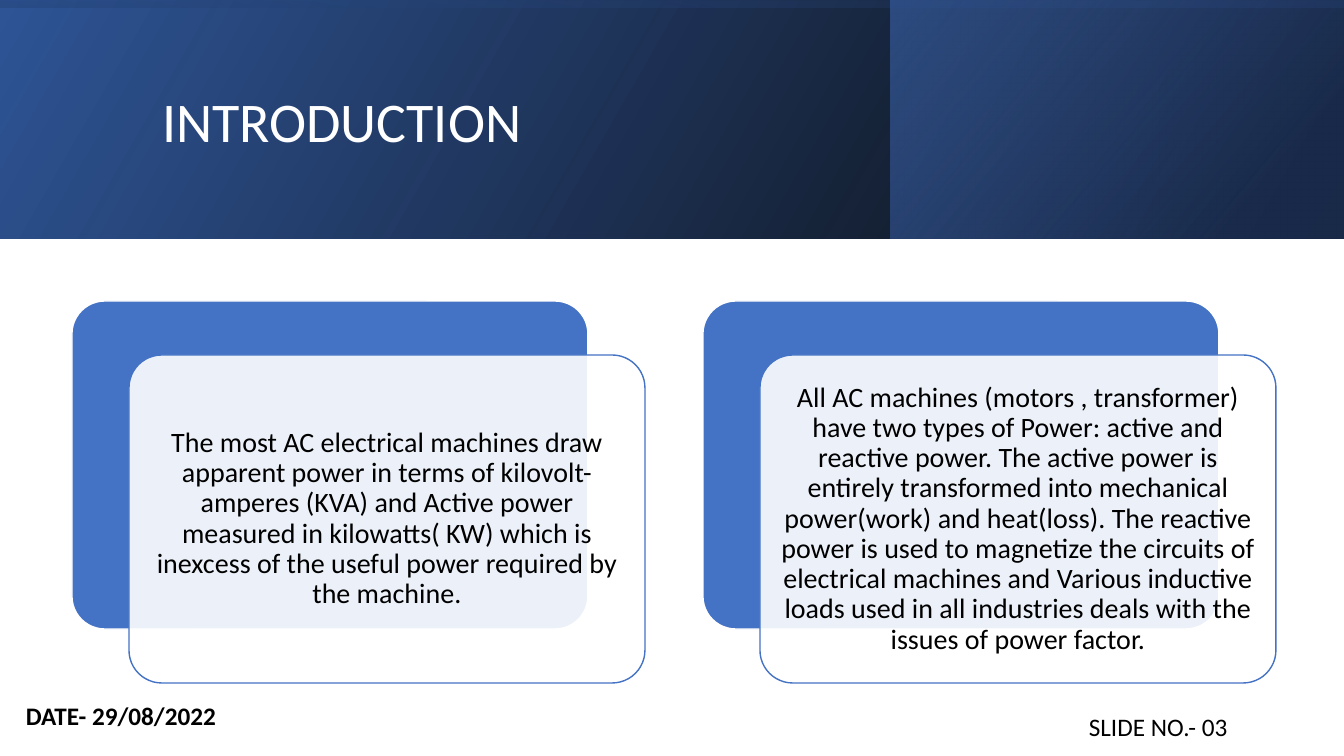
from lxml import etree
from pptx import Presentation
from pptx.dml.color import RGBColor
from pptx.enum.shapes import MSO_SHAPE
from pptx.enum.text import MSO_ANCHOR, PP_ALIGN
from pptx.oxml.ns import qn
from pptx.util import Pt

RECTANGLE, ROUNDED = MSO_SHAPE.RECTANGLE, MSO_SHAPE.ROUNDED_RECTANGLE
MIDDLE = MSO_ANCHOR.MIDDLE
LEFT, CENTER = PP_ALIGN.LEFT, PP_ALIGN.CENTER
PIXEL = 914400 / 100.8
COLORS = {name: RGBColor.from_string(value) for name, value in {
    "white": "FFFFFF", "black": "000000", "blue": "4472C4",
    "deep blue": "2F5597", "navy": "203864"}.items()}


def px(*lengths):
    return [round(length * PIXEL) for length in lengths]


def write(text_frame, text, size, color, align=LEFT, bold=False, spacing=None):
    text_frame.word_wrap = True
    text_frame.text = text
    paragraph = text_frame.paragraphs[0]
    paragraph.alignment = align
    paragraph.line_spacing = spacing
    paragraph.font.name = "Calibri"
    paragraph.font.size = Pt(size)
    paragraph.font.bold = bold
    paragraph.font.color.rgb = COLORS[color]


presentation = Presentation()
presentation.slide_width, presentation.slide_height = px(1344, 756)
slide = presentation.slides.add_slide(presentation.slide_layouts[5])
shapes = slide.shapes
title = shapes.title

# Banner: three mirrored gradient layers; stops are (percent, color, opacity)
BANNER_LAYERS = [
    ((0, 0, 1344, 239), 0, 330, [(0, "black", 96), (100, "deep blue", 100)]),
    ((891, 0, 452, 239), 0, 320, [(19, "navy", 68), (100, "blue", 48)]),
    ((552, -552, 239, 1344), 270, 350, [(23, "deep blue", 16), (99, "black", 45)]),
]
for box, rotation, angle, stops in BANNER_LAYERS:
    layer = shapes.add_shape(RECTANGLE, *px(*box))
    layer.shadow.inherit = False
    layer.line.fill.background()
    layer.rotation = rotation
    layer.element.xpath("./p:spPr/a:xfrm")[0].set("flipH", "1")
    layer.fill.gradient()
    layer.fill.gradient_angle = 360 - angle
    for stop, (percent, color, opacity) in zip(layer.fill.gradient_stops, stops):
        stop.position = percent / 100
        stop.color.rgb = COLORS[color]
    for element, (percent, color, opacity) in zip(
            layer.element.xpath(".//a:gs/a:srgbClr"), stops):
        etree.SubElement(element, qn("a:alpha")).set("val", str(opacity * 1000))

# Title, in front of the banner
shapes.element.append(title.element)
title.left, title.top, title.width, title.height = px(152, 38, 1072, 173)
title.text_frame.vertical_anchor = MIDDLE
write(title.text_frame, "INTRODUCTION", 40, "white", spacing=0.9)

# Two cards, each a translucent panel over a blue back plate
CARD_TEXTS = [
    "The most AC electrical machines draw apparent power\u00a0in terms of "
    "kilovolt-amperes (KVA) and Active power measured in kilowatts( KW) which "
    "is inexcess of the useful power required by the machine.",
    "All AC machines (motors , transformer) have two types of\u00a0Power: active "
    "and reactive power. The active\u00a0power is entirely transformed into "
    "mechanical power(work) and heat(loss). The reactive power is used to "
    "magnetize the circuits of electrical machines and Various inductive loads "
    "used\u00a0in all industries deals with\u00a0the issues of power factor.",
]
for index, text in enumerate(CARD_TEXTS):
    left = 72 + 631 * index
    for x, y, fill, line in [(left, 301, "blue", "white"),
                             (left + 57, 355, "white", "blue")]:
        card = shapes.add_shape(ROUNDED, *px(x, y, 516, 328))
        card.adjustments[0] = 0.1
        card.shadow.inherit = False
        card.fill.solid()
        card.fill.fore_color.rgb = COLORS[fill]
        card.line.color.rgb = COLORS[line]
        card.line.width = Pt(1)
    # The front panel carries the text
    fill_color = card.element.xpath("./p:spPr/a:solidFill/a:srgbClr")[0]
    etree.SubElement(fill_color, qn("a:alpha")).set("val", "90000")
    frame = card.text_frame
    frame.margin_left, frame.margin_top, frame.margin_right, frame.margin_bottom = px(8, 8, 8, 8)
    frame.vertical_anchor = MIDDLE
    write(frame, text, 20, "black", align=CENTER, spacing=0.9)

# Footer: date and slide number
for box, text, bold in [((16, 695, 1000, 40), "DATE- 29/08/2022", True),
                        ((1079, 706, 265, 40), "SLIDE NO.- 03", False)]:
    footer = shapes.add_textbox(*px(*box))
    write(footer.text_frame, text, 18, "black", bold=bold)

presentation.save("out.pptx")
